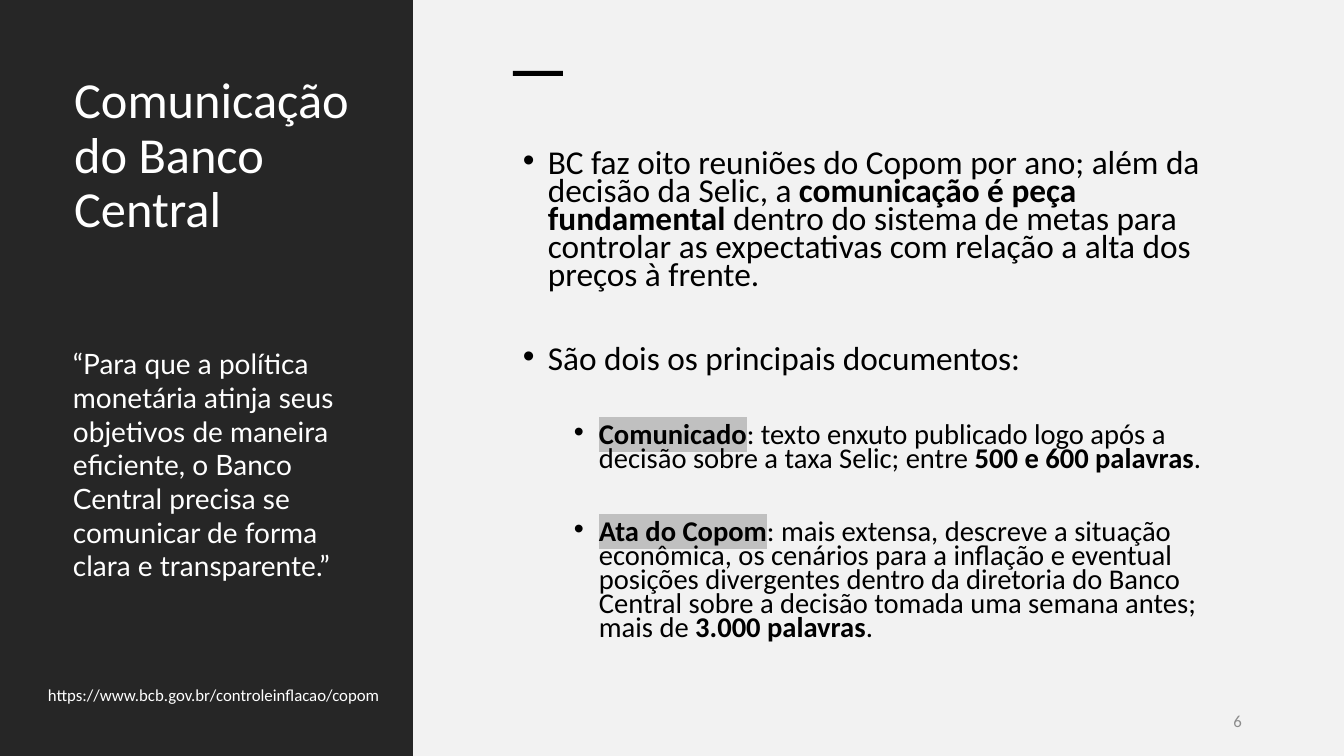
from dataclasses import dataclass

from lxml.etree import SubElement
from pptx import Presentation
from pptx.dml.color import RGBColor
from pptx.enum.shapes import MSO_SHAPE
from pptx.enum.text import MSO_ANCHOR, MSO_AUTO_SIZE, PP_ALIGN
from pptx.oxml.ns import qn
from pptx.util import Emu, Pt

WHITE = RGBColor(0xFF, 0xFF, 0xFF)
BLACK = RGBColor(0x00, 0x00, 0x00)
DARK = RGBColor(0x26, 0x26, 0x26)
LIGHT = RGBColor(0xF2, 0xF2, 0xF2)
GRAY = RGBColor(0x8C, 0x8C, 0x8C)
MARKER = RGBColor(0xC0, 0xC0, 0xC0)


def px(n: int) -> Emu:
    return Emu(round(n * 914400 / 100.8))


@dataclass
class Box:
    x: int
    y: int
    w: int
    h: int

    def emu(self) -> tuple:
        return px(self.x), px(self.y), px(self.w), px(self.h)


@dataclass
class Panel:
    box: Box
    color: RGBColor


@dataclass
class Label:
    box: Box
    text: str
    font: dict
    align: PP_ALIGN = PP_ALIGN.LEFT
    anchor: MSO_ANCHOR = MSO_ANCHOR.TOP


@dataclass
class Span:
    text: str
    bold: bool = False
    marked: bool = False


@dataclass
class Bullet:
    spans: list
    size: float = 23.8
    indent: int = 25
    before: int = 0


def font_of(size: float, color: RGBColor, name: str = "Calibri") -> dict:
    return {"size": Pt(size), "name": name, "color": color}


def set_font(font, values: dict) -> None:
    for key, value in values.items():
        if key == "color":
            font.color.rgb = value
        else:
            setattr(font, key, value)


def add_panel(s, panel: Panel) -> None:
    sp = s.shapes.add_shape(MSO_SHAPE.RECTANGLE, *panel.box.emu())
    sp.shadow.inherit = False
    sp.fill.solid()
    sp.fill.fore_color.rgb = panel.color
    sp.line.fill.background()


def fill_label(sp, label: Label) -> None:
    sp.left, sp.top, sp.width, sp.height = label.box.emu()
    tf = sp.text_frame
    for key, value in {"word_wrap": True, "auto_size": MSO_AUTO_SIZE.NONE,
                       "vertical_anchor": label.anchor}.items():
        setattr(tf, key, value)
    p = tf.paragraphs[0]
    p.alignment = label.align
    r = p.add_run()
    r.text = label.text
    set_font(r.font, label.font)


def add_bullet(p, bullet: Bullet) -> None:
    pPr = p._p.get_or_add_pPr()
    pPr.set("marL", str(px(bullet.indent)))
    pPr.set("indent", str(-px(25)))
    p.line_spacing = 0.7
    p.space_before = Pt(bullet.before)
    SubElement(pPr, qn("a:buFont")).set("typeface", "Arial")
    SubElement(pPr, qn("a:buChar")).set("char", "•")
    for span in bullet.spans:
        r = p.add_run()
        r.text = span.text
        set_font(r.font, font_of(bullet.size, BLACK) | {"bold": span.bold})
        if span.marked:
            rPr = r._r.get_or_add_rPr()
            highlight = SubElement(rPr, qn("a:highlight"))
            SubElement(highlight, qn("a:srgbClr")).set("val", str(MARKER))
            rPr.find(qn("a:solidFill")).addnext(highlight)


PANELS = [
    Panel(Box(412, 0, 932, 756), LIGHT),
    Panel(Box(0, 0, 413, 756), DARK),
    Panel(Box(513, 71, 50, 5), BLACK),
]

TITLE = Label(Box(64, 70, 330, 615), "Comunicação do Banco Central", font_of(36, WHITE))

LABELS = [
    Label(Box(950, 701, 302, 40), "6", font_of(12, GRAY), PP_ALIGN.RIGHT, MSO_ANCHOR.MIDDLE),
    Label(Box(38, 680, 541, 30), "https://www.bcb.gov.br/controleinflacao/copom",
          font_of(12, WHITE)),
    Label(Box(63, 342, 281, 315),
          "“Para que a política monetária atinja seus objetivos de maneira eficiente, "
          "o Banco Central precisa se comunicar de forma clara e transparente.”",
          font_of(20, WHITE, "Lato")),
]

BODY = Box(513, 147, 739, 538)
SUB = {"size": 20.4, "indent": 76, "before": 35}
BULLETS = [
    Bullet([Span("BC faz oito reuniões do Copom por ano; além da decisão da Selic, a "),
            Span("comunicação é peça fundamental ", bold=True),
            Span("dentro do sistema de metas para controlar as expectativas "
                 "com relação a alta dos preços à frente.")]),
    Bullet([Span("São dois os principais documentos:")], before=40),
    Bullet([Span("Comunicado", bold=True, marked=True),
            Span(": texto enxuto publicado logo após a decisão sobre a taxa Selic; entre "),
            Span("500 e 600 palavras", bold=True), Span(".")], **SUB),
    Bullet([Span("Ata do Copom", bold=True, marked=True),
            Span(": mais extensa, descreve a situação econômica, os cenários para a inflação "
                 "e eventual posições divergentes dentro da diretoria do Banco Central "
                 "sobre a decisão tomada uma semana antes; mais de "),
            Span("3.000 palavras", bold=True), Span(".")], **SUB),
]


def main() -> None:
    prs = Presentation()
    prs.slide_width, prs.slide_height = px(1344), px(756)
    s = prs.slides.add_slide(prs.slide_layouts[5])

    # Background panels and accent bar
    for panel in PANELS:
        add_panel(s, panel)

    # Title, brought in front of the panels
    title = s.shapes.title
    fill_label(title, TITLE)
    title.text_frame.paragraphs[0].line_spacing = 0.9
    s.shapes._spTree.append(title._element)

    # Bulleted body
    tf = s.shapes.add_textbox(*BODY.emu()).text_frame
    tf.word_wrap = True
    for i, bullet in enumerate(BULLETS):
        add_bullet(tf.add_paragraph() if i else tf.paragraphs[0], bullet)

    # Page number, web address and quotation
    for label in LABELS:
        fill_label(s.shapes.add_textbox(*label.box.emu()), label)

    prs.save("out.pptx")


if __name__ == "__main__":
    main()
